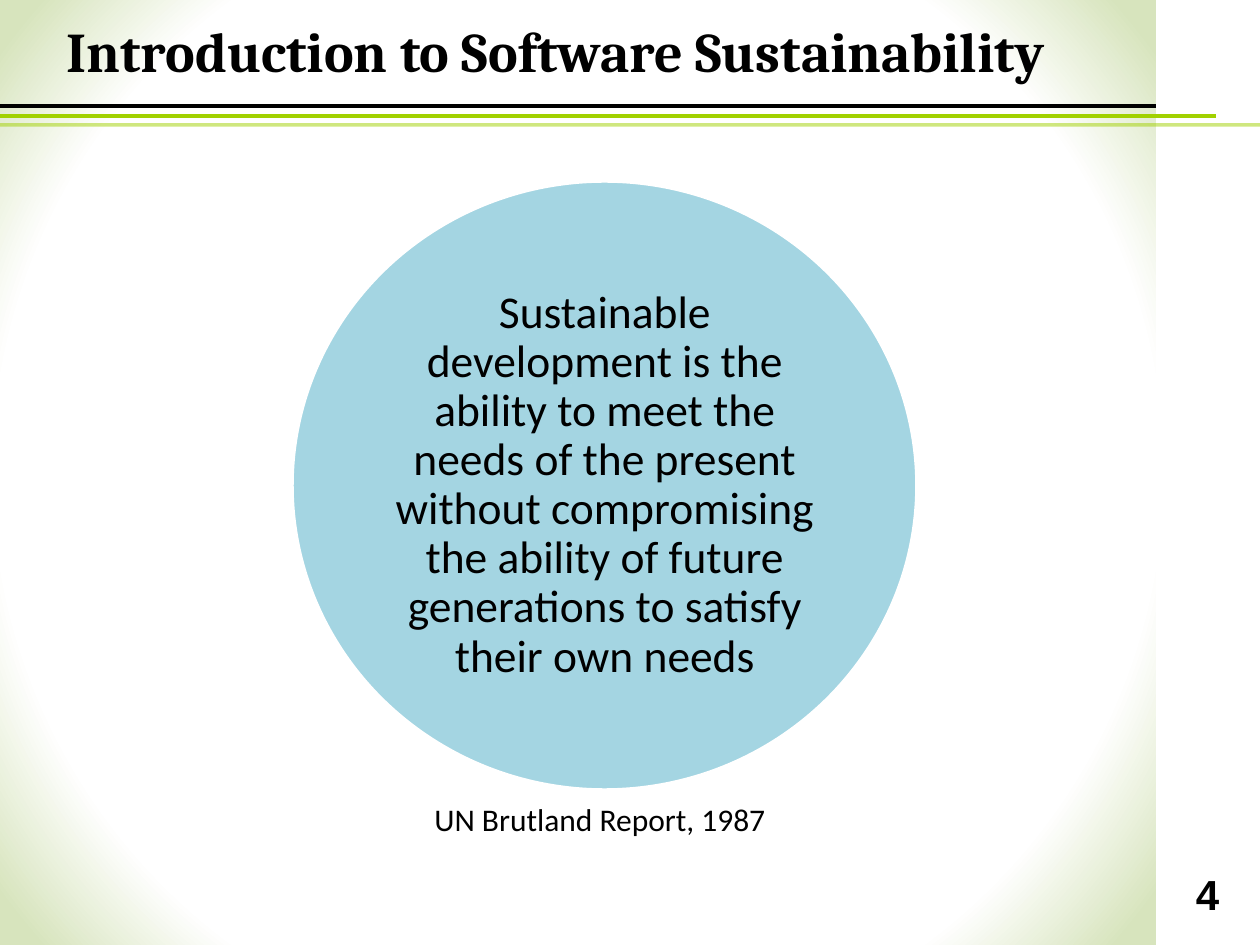
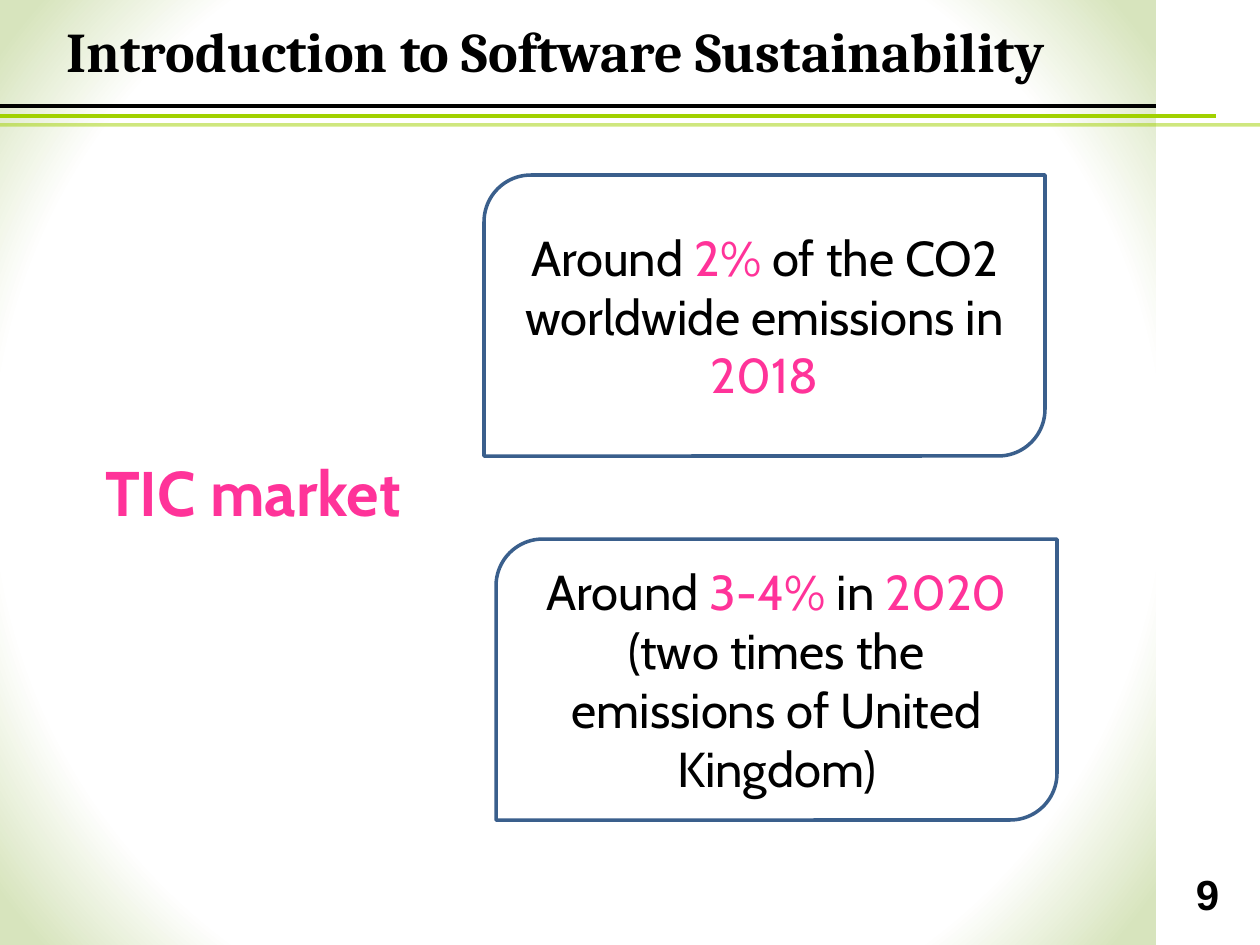
from lxml import etree
from pptx import Presentation
from pptx.dml.color import RGBColor
from pptx.enum.shapes import MSO_CONNECTOR, MSO_SHAPE
from pptx.enum.text import MSO_ANCHOR, MSO_AUTO_SIZE, PP_ALIGN
from pptx.oxml import parse_xml
from pptx.oxml.ns import qn
from pptx.util import Pt

RECTANGLE, OVAL = MSO_SHAPE.RECTANGLE, MSO_SHAPE.OVAL
CARD = MSO_SHAPE.ROUND_2_DIAG_RECTANGLE
LEFT, CENTER = PP_ALIGN.LEFT, PP_ALIGN.CENTER
TOP, MIDDLE = MSO_ANCHOR.TOP, MSO_ANCHOR.MIDDLE
EMU_PER_PX = 914400 / 126

BLACK, WHITE, PINK = "000000", "FFFFFF", "FF3399"
LIME, PALE_GREEN, TEAL, CARD_EDGE = "A1D100", "D7E4BD", "4BACC6", "3A5F8C"
WIDTH, HEIGHT, PANEL_WIDTH = 1260, 945, 1156

# Content
TITLE = "Introduction to Software Sustainability"
RULES = [  # y, right end, colour, opacity in percent
    (116, 1216, LIME, 100),
    (125, WIDTH, LIME, 50),
    (106, PANEL_WIDTH, BLACK, 100),
]
DEFINITION = (
    "Sustainable development is the ability to meet the needs of the present "
    "without compromising the ability of future generations to satisfy their own needs"
)
DEFINITION_SOURCE = "UN Brutland Report, 1987"
MARKET = "TIC market"
EMISSIONS = [  # left, top, coloured text parts
    (484, 175, [("Around", BLACK), (" 2%", PINK),
                (" of the CO2 worldwide emissions in ", BLACK), ("2018", PINK)]),
    (496, 539, [("Around", BLACK), (" 3-4% ", PINK), ("in", BLACK), (" 2020 ", PINK),
                ("(two times the emissions of United Kingdom)", BLACK)]),
]
CARD_SIZE = (561, 281)


# Helpers
def px(*lengths):
    return [round(length * EMU_PER_PX) for length in lengths]


def color(hex_value):
    return RGBColor.from_string(hex_value)


def set_opacity(fill_parent, percent):
    for rgb in fill_parent.iter(qn("a:srgbClr")):
        etree.SubElement(rgb, qn("a:alpha"), val=str(percent * 1000))


def write(shape, parts, font, size, bold=False, align=CENTER, anchor=MIDDLE):
    frame = shape.text_frame
    frame.word_wrap = True
    frame.auto_size = MSO_AUTO_SIZE.NONE
    frame.vertical_anchor = anchor
    paragraph = frame.paragraphs[0]
    paragraph.alignment = align
    for text, hex_value in parts:
        run = paragraph.add_run()
        run.text = text
        run.font.name, run.font.size, run.font.bold = font, Pt(size), bold
        run.font.color.rgb = color(hex_value)
    return frame


def add_text(slide, box, text, font, size, hex_value=BLACK, **style):
    shape = slide.shapes.add_textbox(*px(*box))
    return write(shape, [(text, hex_value)], font, size, **style)


def add_shape(slide, kind, box, fill, edge=None):
    shape = slide.shapes.add_shape(kind, *px(*box))
    shape.shadow.inherit = False
    shape.fill.solid()
    shape.fill.fore_color.rgb = color(fill)
    if edge:
        shape.line.color.rgb = color(edge)
        shape.line.width = Pt(2)
    else:
        shape.line.fill.background()
    return shape


# Shared backdrop, drawn once and moved behind the layout's placeholders
def add_backdrop(slide, layout):
    panel = add_shape(slide, RECTANGLE, (0, 0, PANEL_WIDTH, HEIGHT), WHITE)
    solid = panel._element.spPr.find(qn("a:solidFill"))
    stops = "".join(
        f'<a:gs pos="{position * 1000}"><a:srgbClr val="{hex_value}"/></a:gs>'
        for position, hex_value in ((78, WHITE), (96, PALE_GREEN)))
    gradient = parse_xml(
        '<a:gradFill xmlns:a="http://schemas.openxmlformats.org/drawingml/2006/main">'
        f'<a:gsLst>{stops}</a:gsLst><a:path path="circle">'
        '<a:fillToRect l="50000" t="50000" r="50000" b="50000"/></a:path></a:gradFill>')
    solid.getparent().replace(solid, gradient)

    backdrop = [panel]
    for y, right, hex_value, opacity in RULES:
        rule = slide.shapes.add_connector(MSO_CONNECTOR.STRAIGHT, *px(0, y, right, y))
        rule.line.color.rgb = color(hex_value)
        rule.line.width = Pt(2)
        properties = rule._element.spPr
        if opacity < 100:
            set_opacity(properties, opacity)
        etree.SubElement(properties, qn("a:effectLst"))
        backdrop.append(rule)

    for index, shape in enumerate(backdrop):
        element = shape._element
        next(element.iter(qn("p:cNvPr"))).set("id", str(100 + index))
        layout.shapes._spTree.insert(2 + index, element)


def add_slide(presentation, layout, number):
    slide = presentation.slides.add_slide(layout)
    title = slide.shapes.title
    title.left, title.top, title.width, title.height = px(54, 6, 1091, 89)
    write(title, [(TITLE, BLACK)], "Cambria", 32, bold=True, align=LEFT)
    add_text(slide, (1155, 859, 105, 69), str(number), "Arial", 24, bold=True)
    return slide


# Slides
def add_definition(slide):
    circle = add_shape(slide, OVAL, (292, 181, 625, 609), TEAL, WHITE)
    set_opacity(circle._element.spPr.find(qn("a:solidFill")), 50)
    frame = add_text(slide, (384, 270, 442, 431), DEFINITION, "Calibri", 26)
    frame.margin_left, frame.margin_top, frame.margin_right, frame.margin_bottom = px(5, 5, 5, 5)
    frame.paragraphs[0].line_spacing = 0.9
    add_text(slide, (422, 794, 357, 50), DEFINITION_SOURCE, "Calibri", 18,
             align=LEFT, anchor=TOP)


def add_market(slide):
    frame = add_text(slide, (35, 442, 436, 88), MARKET, "Cabin", 36, PINK,
                     bold=True, anchor=TOP)
    frame.paragraphs[0].line_spacing = 1.07
    for left, top, parts in EMISSIONS:
        card = add_shape(slide, CARD, (left, top, *CARD_SIZE), WHITE, CARD_EDGE)
        write(card, parts, "Cabin", 28)


def main():
    presentation = Presentation()
    presentation.slide_width, presentation.slide_height = px(WIDTH, HEIGHT)
    layout = presentation.slide_layouts.get_by_name("Title Only")
    definition_slide = add_slide(presentation, layout, 4)
    add_backdrop(definition_slide, layout)
    add_definition(definition_slide)
    add_market(add_slide(presentation, layout, 9))
    presentation.save("out.pptx")


if __name__ == "__main__":
    main()
